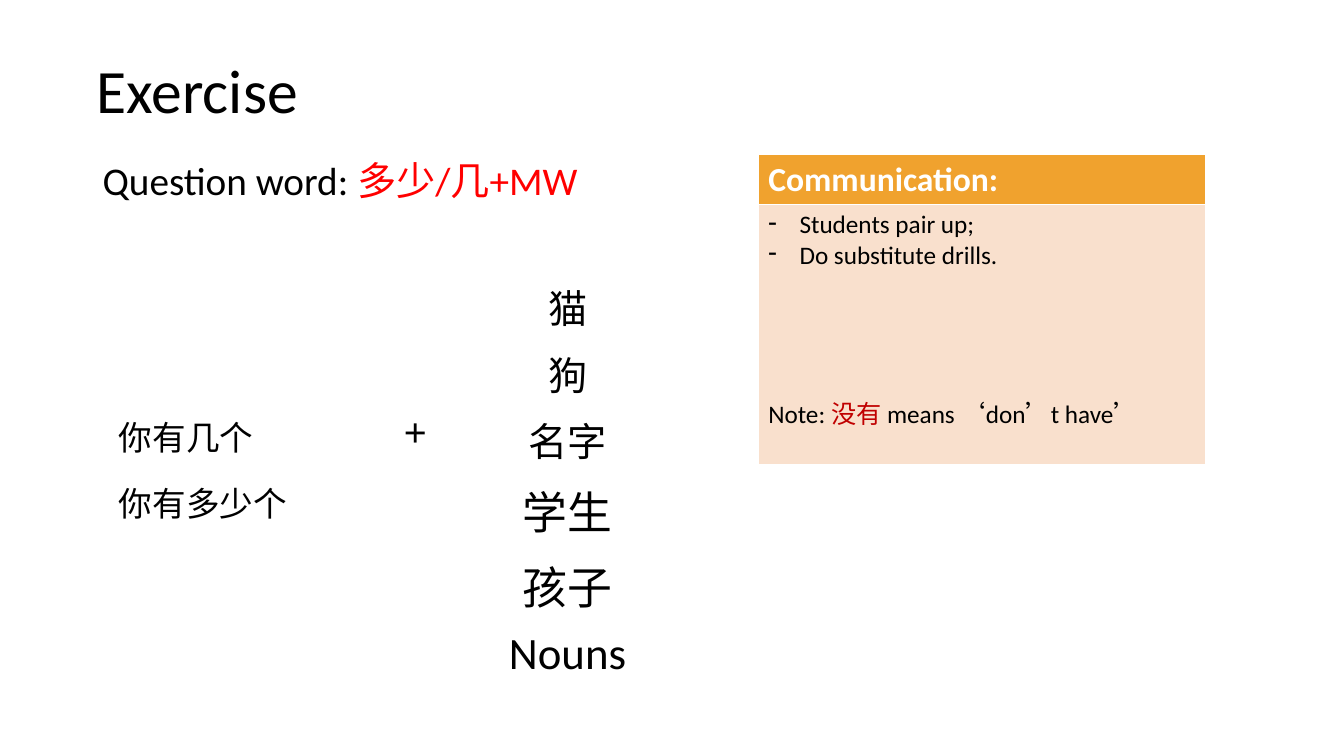
from pptx import Presentation
from pptx.dml.color import RGBColor
from pptx.enum.text import MSO_ANCHOR as Anchor, PP_ALIGN as Align
from pptx.oxml.ns import qn
from pptx.util import Inches, Pt
from lxml.etree import SubElement

BLACK = RGBColor(0x00, 0x00, 0x00)
WHITE = RGBColor(0xFF, 0xFF, 0xFF)
RED = RGBColor(0xFF, 0x00, 0x00)
DARK_RED = RGBColor(0xC0, 0x00, 0x00)
ORANGE = RGBColor(0xF0, 0xA2, 0x2E)
PEACH = RGBColor(0xF9, 0xE0, 0xCD)

NOUNS = [("猫", 28, "Arial"), ("狗", 28, "Arial"), ("名字", 28, "Arial"),
         ("学生", 32, "Calibri"), ("孩子", 32, "Calibri"), ("Nouns", 32, "Calibri")]
QUESTIONS = {2: "你有几个", 3: "你有多少个"}
PLUS_ROW = 2


class ExerciseSlide:
    def __init__(self, presentation, font="Calibri"):
        self.slide = presentation.slides.add_slide(presentation.slide_layouts[6])
        self.font = font

    def add_runs(self, paragraph, runs, size, font=None, bold=False, **layout):
        """Fill a paragraph with (text, colour) runs."""
        for name, value in layout.items():
            setattr(paragraph, name, value)
        for text, colour in runs:
            run = paragraph.add_run()
            run.text = text
            style = {"name": font or self.font, "size": Pt(size), "bold": bold}
            for name, value in style.items():
                setattr(run.font, name, value)
            run.font.color.rgb = colour

    def bullet(self, paragraph, text, size):
        """Add a dash item with a hanging indent."""
        properties = paragraph._p.get_or_add_pPr()
        properties.set("marL", str(Inches(0.31)))
        properties.set("indent", str(-Inches(0.31)))
        SubElement(properties, qn("a:buFontTx"))
        SubElement(properties, qn("a:buChar"), char="-")
        self.add_runs(paragraph, [(text, BLACK)], size)

    def text_box(self, box, runs, size, anchor=Anchor.TOP):
        frame = self.slide.shapes.add_textbox(*map(Inches, box)).text_frame
        frame.word_wrap = True
        frame.vertical_anchor = anchor
        self.add_runs(frame.paragraphs[0], runs, size, line_spacing=0.9)

    def table(self, left, top, widths, heights, fills, header):
        """Add a table with one fill colour per row."""
        lengths = map(Inches, (left, top, sum(widths), sum(heights)))
        table = self.slide.shapes.add_table(len(heights), len(widths), *lengths).table
        table.first_row = header
        table.horz_banding = False
        for column, width in zip(table.columns, widths):
            column.width = Inches(width)
        for row, height, colour in zip(table.rows, heights, fills):
            row.height = Inches(height)
            for cell in row.cells:
                cell.fill.solid()
                cell.fill.fore_color.rgb = colour
        return table


def add_communication(page):
    table = page.table(7.52, 1.53, [4.44], [0.5, 2.58], [ORANGE, PEACH], True)
    heading = table.cell(0, 0).text_frame.paragraphs[0]
    page.add_runs(heading, [("Communication:", WHITE)], 24, bold=True)
    frame = table.cell(1, 0).text_frame
    page.bullet(frame.paragraphs[0], "Students pair up;", 18)
    page.bullet(frame.add_paragraph(), "Do substitute drills.", 18)
    note = [("Note: ", BLACK), ("没有 ", DARK_RED), ("means ‘don’t have’", BLACK)]
    page.add_runs(frame.add_paragraph(), note, 18, space_before=Pt(88))


def add_drill(page):
    heights = [0.66] * 3 + [0.74] * 2 + [0.63]
    table = page.table(1.08, 2.71, [2.44, 1.2, 1.82], heights, [WHITE] * len(NOUNS), False)

    def fill(row, column, text, size, font, alignment):
        paragraph = table.cell(row, column).text_frame.paragraphs[0]
        page.add_runs(paragraph, [(text, BLACK)], size, font, alignment=alignment)

    for row, (noun, size, font) in enumerate(NOUNS):
        fill(row, 2, noun, size, font, Align.CENTER)
    for row, question in QUESTIONS.items():
        fill(row, 0, question, 24, "Arial", Align.JUSTIFY)
    fill(PLUS_ROW, 1, "+", 28, "Arial", Align.CENTER)


def main():
    presentation = Presentation()
    presentation.slide_width = Inches(13.33)
    presentation.slide_height = Inches(7.5)
    page = ExerciseSlide(presentation)
    page.text_box((0.86, 0.4, 11.56, 1.06), [("Exercise", BLACK)], 44, Anchor.MIDDLE)
    question = [("Question word: ", BLACK), ("多少/几+MW", RED)]
    page.text_box((0.92, 1.55, 6.5, 0.6), question, 28)
    add_communication(page)
    add_drill(page)
    presentation.save("out.pptx")


if __name__ == "__main__":
    main()
